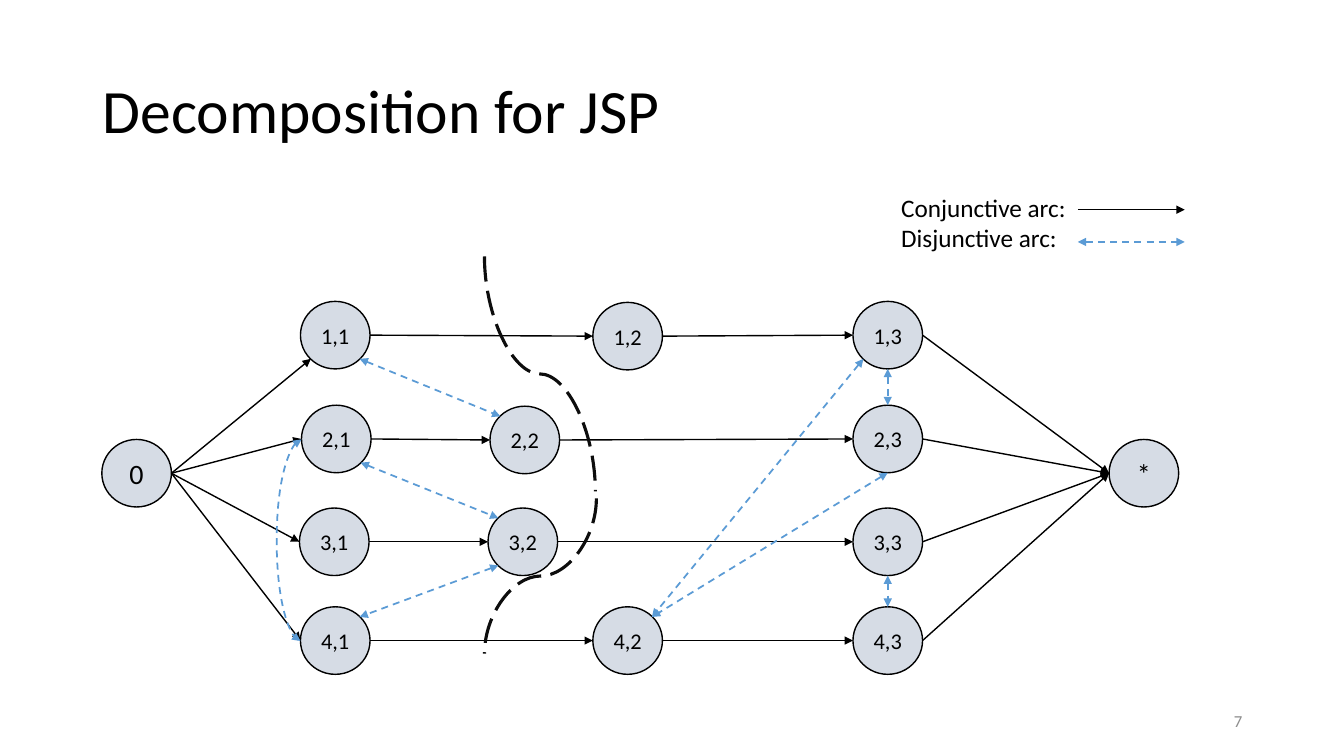
from lxml import etree
from pptx import Presentation
from pptx.dml.color import RGBColor
from pptx.enum import dml, shapes, text
from pptx.oxml import ns
from pptx.util import Inches, Pt

COLORS = {
    "ink": "000000",
    "node": "D6DCE5",
    "disjunctive": "5B9BD5",
    "cut": "0D0D0D",
    "number": "8C8C8C",
}
NODE_WIDTH, NODE_HEIGHT = 0.69, 0.67
NODES = {
    "0": (1.01, 4.36),
    "1,1": (2.98, 2.99), "1,2": (5.88, 3), "1,3": (8.46, 2.99),
    "2,1": (2.99, 4.02), "2,2": (4.86, 4.03), "2,3": (8.46, 4.02),
    "3,1": (2.97, 5.04), "3,2": (4.84, 5.04), "3,3": (8.46, 5.04),
    "4,1": (2.98, 6.02), "4,2": (5.88, 6.02), "4,3": (8.46, 6.02),
    "*": (11, 4.36),
}
SITES = {
    "left": (0, 0.5), "right": (1, 0.5), "top": (0.5, 0), "bottom": (0.5, 1),
    "top left": (0.15, 0.15), "top right": (0.85, 0.15),
    "bottom left": (0.15, 0.85), "bottom right": (0.85, 0.85),
}
DISJUNCTIVE_ARCS = [
    ("1,1", "bottom right", "2,2", "top left"),
    ("2,1", "bottom right", "3,2", "top left"),
    ("3,2", "bottom left", "4,1", "top right"),
    ("1,3", "bottom", "2,3", "top"),
    ("3,3", "bottom", "4,3", "top"),
    ("2,3", "bottom", "4,2", "top right"),
    ("1,3", "bottom left", "4,2", "top right"),
]


def color(name):
    return RGBColor.from_string(COLORS[name])


def style_font(para, size, ink="ink"):
    para.font.name = "Calibri"
    para.font.size = Pt(size)
    para.font.color.rgb = color(ink)


def add_text(page, lines, left, top, width, height, size, ink="ink",
             anchor=text.MSO_ANCHOR.MIDDLE, align=text.PP_ALIGN.LEFT, spacing=1.0):
    box = page.shapes.add_textbox(Inches(left), Inches(top), Inches(width), Inches(height))
    frame = box.text_frame
    frame.word_wrap = True
    frame.vertical_anchor = anchor
    frame.text = "\n".join(lines)
    for para in frame.paragraphs:
        para.alignment = align
        para.line_spacing = spacing
        style_font(para, size, ink)


def add_node(page, label):
    left, top = NODES[label]
    node = page.shapes.add_shape(shapes.MSO_SHAPE.OVAL, Inches(left), Inches(top),
                                 Inches(NODE_WIDTH), Inches(NODE_HEIGHT))
    node.shadow.inherit = False
    node.fill.solid()
    node.fill.fore_color.rgb = color("node")
    node.line.color.rgb = color("ink")
    node.line.width = Pt(1)
    frame = node.text_frame
    frame.word_wrap = False
    frame.vertical_anchor = text.MSO_ANCHOR.MIDDLE
    frame.text = label
    para = frame.paragraphs[0]
    para.alignment = text.PP_ALIGN.CENTER
    style_font(para, 16 if "," in label else 20)


def site_point(label, site):
    left, top = NODES[label]
    across, down = SITES[site]
    return left + across * NODE_WIDTH, top + down * NODE_HEIGHT


def add_line(page, start, end, ink, width, dash=None, heads=(),
             kind=shapes.MSO_CONNECTOR.STRAIGHT):
    line = page.shapes.add_connector(kind, *(Inches(value) for value in (*start, *end)))
    line.line.color.rgb = color(ink)
    line.line.width = Pt(width)
    if dash is not None:
        line.line.dash_style = dash
    outline = line.line._get_or_add_ln()
    for head in heads:
        etree.SubElement(outline, ns.qn(f"a:{head}"), type="triangle")
    etree.SubElement(line._element.spPr, ns.qn("a:effectLst"))
    return line


def add_conjunctive(page, start, end):
    add_line(page, start, end, "ink", 1, heads=("tailEnd",))


def add_disjunctive(page, start, end, kind=shapes.MSO_CONNECTOR.STRAIGHT):
    return add_line(page, start, end, "disjunctive", 1.25, dml.MSO_LINE.DASH,
                    ("headEnd", "tailEnd"), kind)


def add_cut(page, start, end, degrees):
    cut = add_line(page, start, end, "cut", 2.25, dml.MSO_LINE.LONG_DASH,
                   kind=shapes.MSO_CONNECTOR.CURVE)
    bend(cut, degrees, 0.5)


def bend(curve, degrees, share):
    properties = curve._element.spPr
    properties.find(ns.qn("a:xfrm")).set("rot", str(degrees * 60000))
    geometry = properties.find(ns.qn("a:prstGeom"))
    guides = geometry.find(ns.qn("a:avLst"))
    if guides is None:
        guides = etree.SubElement(geometry, ns.qn("a:avLst"))
    etree.SubElement(guides, ns.qn("a:gd"), name="adj1", fmla=f"val {round(share * 100000)}")


def add_arcs(page):
    for job in range(1, 5):
        route = ["0", *(f"{job},{step}" for step in range(1, 4)), "*"]
        for source, target in zip(route, route[1:]):
            site = "bottom left" if target == "1,1" else "left"
            add_conjunctive(page, site_point(source, "right"), site_point(target, site))
    for source, source_site, target, target_site in DISJUNCTIVE_ARCS:
        add_disjunctive(page, site_point(source, source_site), site_point(target, target_site))
    loop = add_disjunctive(page, (2.98, 6.36), (2.99, 4.36), shapes.MSO_CONNECTOR.CURVE)
    bend(loop, 180, 25)


def add_legend(page):
    add_text(page, ["Conjunctive arc:", "Disjunctive arc:"], 8.84, 1.86, 3.7, 0.71, 18,
             anchor=text.MSO_ANCHOR.TOP)
    add_conjunctive(page, (10.69, 2.08), (11.75, 2.08))
    add_disjunctive(page, (10.69, 2.4), (11.75, 2.4))


def main():
    deck = Presentation()
    deck.slide_width, deck.slide_height = Inches(13.33), Inches(7.5)
    page = deck.slides.add_slide(deck.slide_layouts[6])
    add_text(page, ["Decomposition for JSP"], 0.92, 0.4, 11.5, 1.45, 44, spacing=0.9)
    for label in NODES:
        add_node(page, label)
    add_arcs(page)
    add_legend(page)
    add_cut(page, (6.52, 3.16), (4.19, 4.26), 270)
    add_cut(page, (4.59, 5.16), (6.13, 6.27), 90)
    add_text(page, ["7"], 9.42, 6.95, 3, 0.4, 12, "number", align=text.PP_ALIGN.RIGHT)
    deck.save("out.pptx")


if __name__ == "__main__":
    main()
